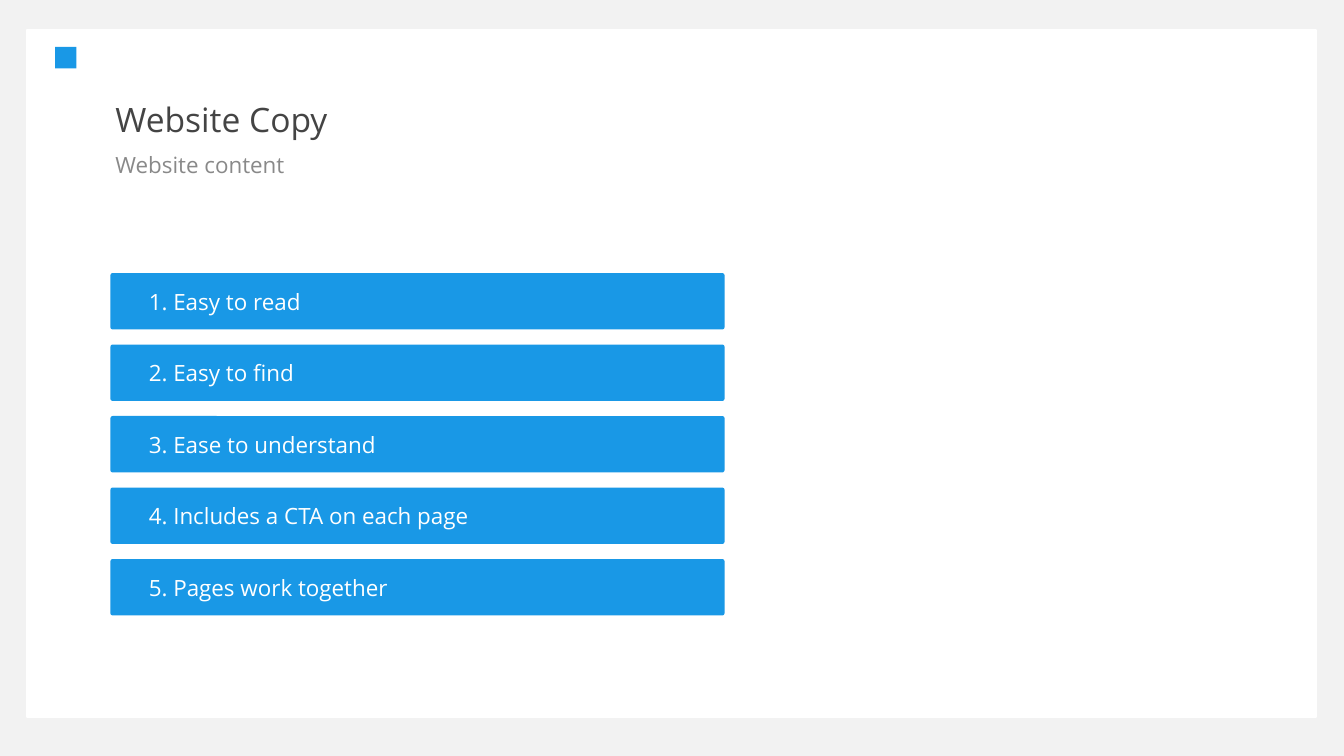
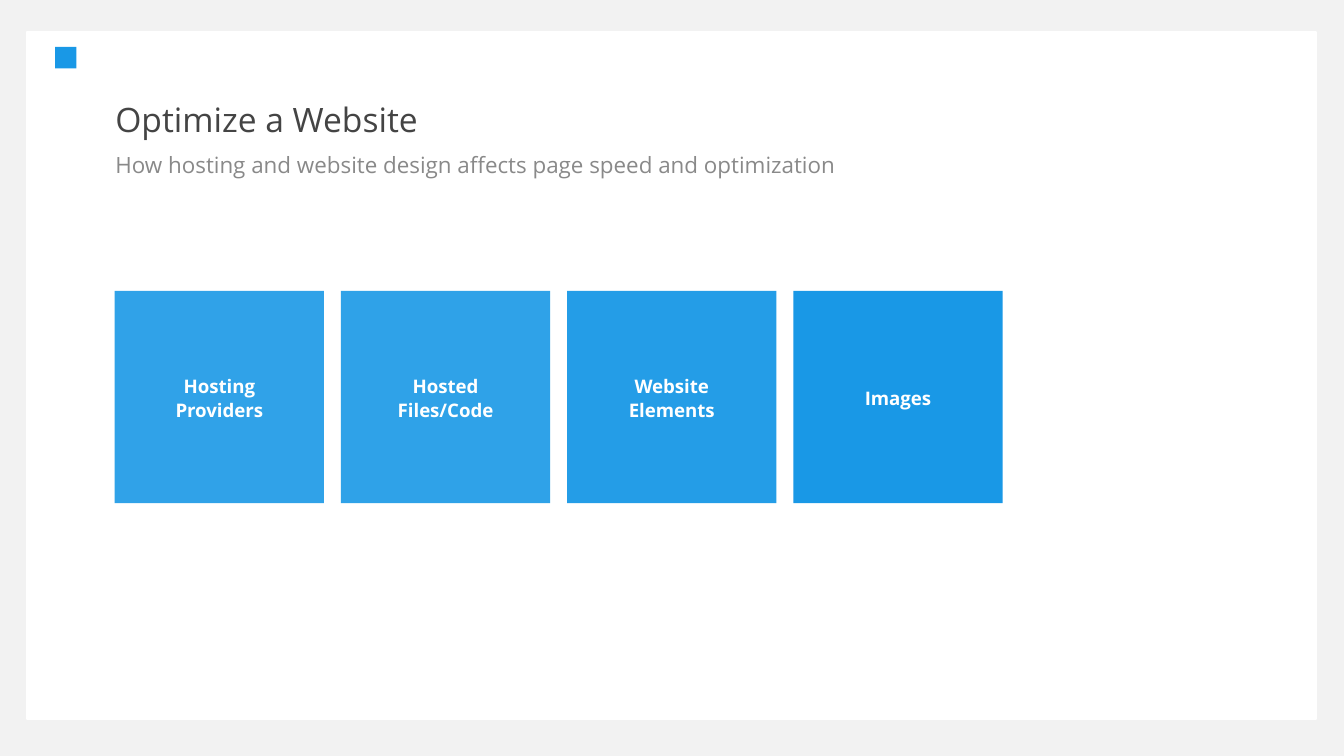
from lxml.etree import SubElement
from pptx import Presentation
from pptx.dml.color import RGBColor
from pptx.enum.shapes import MSO_SHAPE
from pptx.enum.text import MSO_ANCHOR, PP_ALIGN
from pptx.oxml.ns import qn
from pptx.util import Pt

BACKGROUND = RGBColor(0xF2, 0xF2, 0xF2)
WHITE = RGBColor(0xFF, 0xFF, 0xFF)
BLUE = RGBColor(0x19, 0x98, 0xE6)
LIGHT_BLUE = RGBColor(0x30, 0xA2, 0xE8)
TITLE_GRAY = RGBColor(0x44, 0x44, 0x44)
SUBTITLE_GRAY = RGBColor(0x89, 0x89, 0x89)

FONT = "Open Sans"
TITLE = {"size": Pt(18), "color": TITLE_GRAY}
SUBTITLE = {"size": Pt(12), "color": SUBTITLE_GRAY}
BAR_LABEL = {"size": Pt(12), "color": WHITE}
CARD_LABEL = {"size": Pt(10), "color": WHITE, "bold": True}


class Deck:
    def __init__(self):
        self.presentation = Presentation()
        self.presentation.slide_width = Pt(720)
        self.presentation.slide_height = Pt(405)
        self.slide = None

    def start_slide(self, title, subtitle, panel_top):
        layout = self.presentation.slide_layouts[6]
        self.slide = self.presentation.slides.add_slide(layout)
        fill = self.slide.background.fill
        fill.solid()
        fill.fore_color.rgb = BACKGROUND
        panel = self.block(MSO_SHAPE.RECTANGLE, (14.4, panel_top, 690.5, 368), WHITE)
        panel.line.color.rgb = WHITE
        panel.line.width = Pt(1)
        self.heading(title, (54.72, 54, 514, 22.3), TITLE, MSO_ANCHOR.MIDDLE)
        self.heading(subtitle, (54.72, 79.2, 514, 26), SUBTITLE, MSO_ANCHOR.TOP)
        self.block(MSO_SHAPE.RECTANGLE, (29.5, 25.2, 11.5, 11.5), BLUE)

    def label(self, shape, text, style, alignment=PP_ALIGN.LEFT, spacing=1.0,
              anchor=MSO_ANCHOR.MIDDLE, insets=(7.2, 3.6)):
        """Fill the shape with one paragraph; insets are horizontal, vertical."""
        horizontal, vertical = map(Pt, insets)
        frame = shape.text_frame
        frame_format = {
            "word_wrap": True, "vertical_anchor": anchor,
            "margin_left": horizontal, "margin_right": horizontal,
            "margin_top": vertical, "margin_bottom": vertical,
        }
        for name, value in frame_format.items():
            setattr(frame, name, value)
        paragraph = frame.paragraphs[0]
        paragraph.alignment = alignment
        paragraph.line_spacing = spacing
        run = paragraph.add_run()
        run.text = text
        run.font.name = FONT
        for name, value in style.items():
            if name == "color":
                run.font.color.rgb = value
            else:
                setattr(run.font, name, value)

    def heading(self, text, box, style, anchor):
        shape = self.slide.shapes.add_textbox(*map(Pt, box))
        self.label(shape, text, style, spacing=0.9, anchor=anchor)

    def block(self, kind, box, color, opacity=100, corner=None):
        """Add a filled shape without outline; opacity is in percent."""
        shape = self.slide.shapes.add_shape(kind, *map(Pt, box))
        shape.shadow.inherit = False
        shape.line.fill.background()
        shape.fill.solid()
        shape.fill.fore_color.rgb = color
        if corner is not None:
            shape.adjustments[0] = corner
        if opacity < 100:
            fill_color = next(shape.element.spPr.iter(qn("a:srgbClr")))
            SubElement(fill_color, qn("a:alpha"), val=str(opacity * 1000))
        return shape

    def bar(self, text, top):
        shape = self.block(MSO_SHAPE.ROUNDED_RECTANGLE, (59.2, top, 329, 30.2),
                           BLUE, corner=0.04)
        self.label(shape, text, BAR_LABEL, insets=(20.2, 3.6))

    def card(self, text, left, color, opacity):
        shape = self.block(MSO_SHAPE.ROUNDED_RECTANGLE, (left, 155.8, 112.2, 113.8),
                           color, opacity, corner=0)
        self.label(shape, text, CARD_LABEL, PP_ALIGN.CENTER, spacing=1.1,
                   insets=(20.2, 22.3))


def add_website_copy(deck):
    deck.start_slide("Website Copy", "Website content", 16.2)
    qualities = ["Easy to read", "Easy to find", "Ease to understand",
                 "Includes a CTA on each page", "Pages work together"]
    for index, quality in enumerate(qualities):
        deck.bar(f"{index + 1}. {quality}", 146.3 + index * 38.3)


def add_optimize_website(deck):
    deck.start_slide(
        "Optimize a Website",
        "How hosting and website design affects page speed and optimization", 17.3)
    factors = [("Hosting Providers", LIGHT_BLUE, 100),
               ("Hosted Files/Code", BLUE, 90),
               ("Website Elements", BLUE, 95),
               ("Images", BLUE, 100)]
    for index, (factor, color, opacity) in enumerate(factors):
        deck.card(factor, 61.4 + index * 121.2, color, opacity)


def main():
    deck = Deck()
    add_website_copy(deck)
    add_optimize_website(deck)
    deck.presentation.save("out.pptx")


if __name__ == "__main__":
    main()
